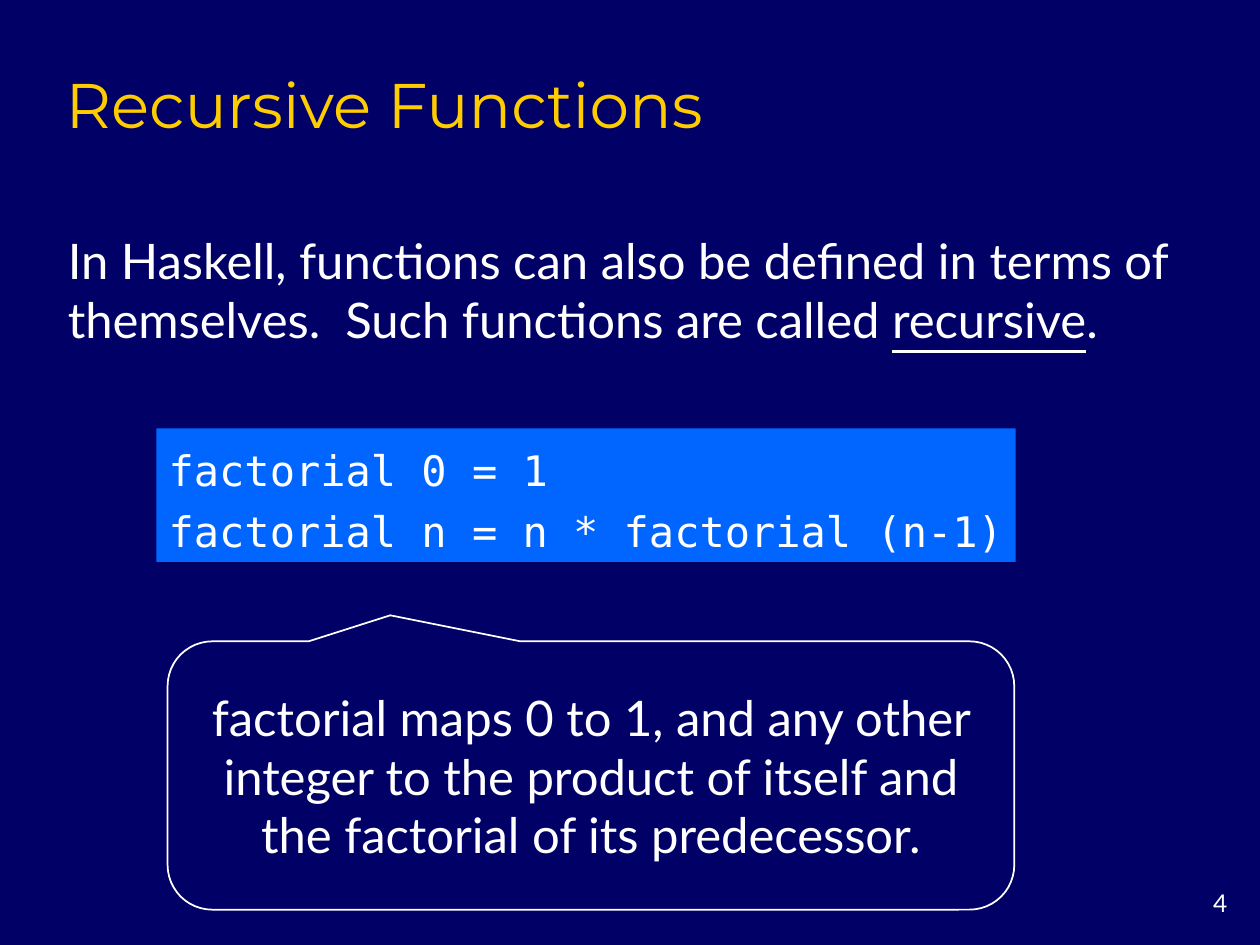
from pptx import Presentation
from pptx.dml.color import RGBColor
from pptx.enum.shapes import MSO_SHAPE as Shape
from pptx.enum.text import MSO_ANCHOR as Anchor, MSO_AUTO_SIZE as AutoSize, PP_ALIGN as Align
from pptx.util import Inches, Pt

COLORS = {"background": "000066", "title": "FFCC00", "text": "FFFFFF", "code": "0066FF"}
TEXT_FONT, TITLE_FONT, CODE_FONT = "Lato", "Montserrat", "DejaVu Sans Mono"

# Content: each paragraph is a list of (text, underlined) runs
TITLE = [[("Recursive Functions", False)]]
INTRODUCTION = [[
    ("In Haskell, functions can also be defined in terms of themselves.  "
     "Such functions are called ", False),
    ("recursive", True),
    (".", False),
]]
CODE = [
    [("factorial 0 = 1", False)],
    [("factorial n = n * factorial (n-1)", False)],
]
EXPLANATION = [[
    ("factorial maps 0 to 1, and any other integer to the product of itself "
     "and the factorial of its predecessor.", False),
]]
PAGE_NUMBER = [[("4", False)]]

# Left, top, width, height in inches
TITLE_BOX = (0.42, 0.42, 8.5, 0.75)
INTRODUCTION_BOX = (0.44, 1.55, 9.24, 1.5)
CODE_BOX = (1.24, 3.4, 6.82, 1.06)
CALLOUT_BOX = (1.33, 5.09, 6.72, 2.13)
NUMBER_BOX = (9.17, 7, 0.67, 0.33)
CALLOUT_ADJUSTMENTS = (-0.237, -0.597, 0.167)


def color(name):
    return RGBColor.from_string(COLORS[name])


def lengths(box):
    return [Inches(value) for value in box]


def write(shape, paragraphs, size, font=TEXT_FONT, ink="text", align=Align.LEFT,
          anchor=Anchor.MIDDLE, spacing=1.0, wrap=True):
    frame = shape.text_frame
    frame.auto_size = AutoSize.NONE
    frame.word_wrap = wrap
    frame.vertical_anchor = anchor
    for index, runs in enumerate(paragraphs):
        paragraph = frame.add_paragraph() if index else frame.paragraphs[0]
        paragraph.alignment = align
        paragraph.line_spacing = spacing
        for text, underlined in runs:
            run = paragraph.add_run()
            run.text = text
            run.font.name = font
            run.font.size = Pt(size)
            run.font.color.rgb = color(ink)
            run.font.underline = underlined


def add_shape(slide, kind, box):
    shape = slide.shapes.add_shape(kind, *lengths(box))
    shape.shadow.inherit = False
    return shape


def main():
    presentation = Presentation()
    presentation.slide_width, presentation.slide_height = Inches(10), Inches(7.5)
    slide = presentation.slides.add_slide(presentation.slide_layouts.get_by_name("Title Only"))
    slide.background.fill.solid()
    slide.background.fill.fore_color.rgb = color("background")

    # Title
    title = slide.shapes.title
    title.left, title.top, title.width, title.height = lengths(TITLE_BOX)
    write(title, TITLE, 36, TITLE_FONT, "title", anchor=Anchor.BOTTOM)

    # Introduction
    introduction = slide.shapes.add_textbox(*lengths(INTRODUCTION_BOX))
    write(introduction, INTRODUCTION, 28)

    # Code
    code = add_shape(slide, Shape.RECTANGLE, CODE_BOX)
    code.fill.solid()
    code.fill.fore_color.rgb = color("code")
    code.line.fill.background()
    write(code, CODE, 24, CODE_FONT, spacing=1.2, wrap=False)

    # Callout pointing at the code
    callout = add_shape(slide, Shape.ROUNDED_RECTANGULAR_CALLOUT, CALLOUT_BOX)
    for index, value in enumerate(CALLOUT_ADJUSTMENTS):
        callout.adjustments[index] = value
    callout.fill.background()
    callout.line.color.rgb = color("text")
    callout.line.width = Pt(1)
    write(callout, EXPLANATION, 28, align=Align.CENTER)

    # Page number
    number = slide.shapes.add_textbox(*lengths(NUMBER_BOX))
    write(number, PAGE_NUMBER, 14, align=Align.RIGHT, anchor=Anchor.TOP)

    presentation.save("out.pptx")


if __name__ == "__main__":
    main()
